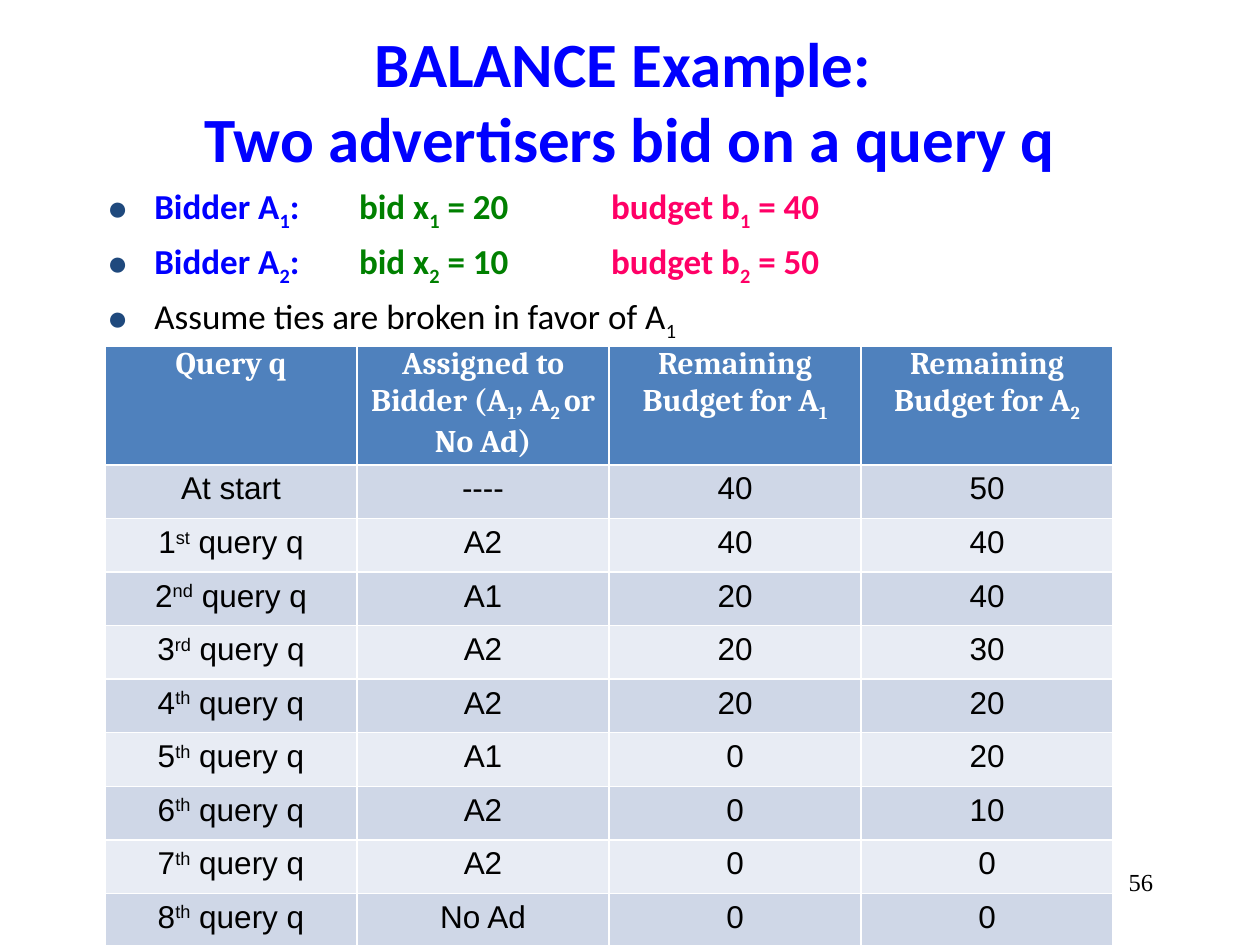
from dataclasses import dataclass

from lxml import etree
from pptx import Presentation
from pptx import util as u
from pptx.dml.color import RGBColor
from pptx.enum import text as t
from pptx.oxml import ns

BLUE = RGBColor(0x00, 0x00, 0xFF)
GREEN = RGBColor(0x00, 0x80, 0x00)
PINK = RGBColor(0xFF, 0x00, 0x66)
NAVY = RGBColor(0x1F, 0x49, 0x7D)
BLACK = RGBColor(0x00, 0x00, 0x00)
WHITE = RGBColor(0xFF, 0xFF, 0xFF)
HEADER_FILL = RGBColor(0x4F, 0x81, 0xBD)
BAND_FILLS = (RGBColor(0xCF, 0xD7, 0xE7), RGBColor(0xE8, 0xEC, 0xF4))
SUBSCRIPT = -25000
SUPERSCRIPT = 30000


@dataclass(frozen=True)
class Style:
    font: str
    size: float
    color: RGBColor
    bold: bool = False


@dataclass(frozen=True)
class Piece:
    text: str
    style: Style
    baseline: int = 0


@dataclass(frozen=True)
class Bidder:
    number: str
    bid: str
    budget: str


@dataclass(frozen=True)
class Step:
    ordinal: str
    suffix: str
    assigned: str
    first_budget: str
    second_budget: str


TITLE = Style("Calibri", 36, BLUE, True)
BIDDER = Style("Calibri", 20, BLUE, True)
BID = Style("Calibri", 20, GREEN, True)
BUDGET = Style("Calibri", 20, PINK, True)
PLAIN = Style("Calibri", 20, BLACK)
HEADER = Style("Cambria", 18, WHITE, True)
CELL = Style("Arial", 18, BLACK)
NUMBER = Style("Times New Roman", 14, BLACK)

BIDDERS = [Bidder("1", "20", "40"), Bidder("2", "10", "50")]
STEPS = [
    Step("1", "st", "A2", "40", "40"),
    Step("2", "nd", "A1", "20", "40"),
    Step("3", "rd", "A2", "20", "30"),
    Step("4", "th", "A2", "20", "20"),
    Step("5", "th", "A1", "0", "20"),
    Step("6", "th", "A2", "0", "10"),
    Step("7", "th", "A2", "0", "0"),
    Step("8", "th", "No Ad", "0", "0"),
]


def add_pieces(paragraph, pieces: list[Piece]) -> None:
    for piece in pieces:
        run = paragraph.add_run()
        run.text = piece.text
        run.font.name = piece.style.font
        run.font.size = u.Pt(piece.style.size)
        run.font.bold = piece.style.bold
        run.font.color.rgb = piece.style.color
        if piece.baseline:
            run.font._element.set("baseline", str(piece.baseline))


def place(shape, left: float, top: float, width: float, height: float) -> None:
    shape.left, shape.top = u.Pt(left), u.Pt(top)
    shape.width, shape.height = u.Pt(width), u.Pt(height)


def format_bullet(paragraph, tabs: list[float]) -> None:
    properties = paragraph._p.get_or_add_pPr()
    properties.set("marL", str(u.Pt(27)))
    properties.set("indent", str(-u.Pt(27)))
    color = etree.SubElement(properties, ns.qn("a:buClr"))
    etree.SubElement(color, ns.qn("a:srgbClr"), val=str(NAVY))
    etree.SubElement(properties, ns.qn("a:buChar"), char="●")
    if tabs:
        tab_list = etree.SubElement(properties, ns.qn("a:tabLst"))
        for position in tabs:
            etree.SubElement(tab_list, ns.qn("a:tab"), pos=str(u.Pt(position)), algn="l")


def bidder_line(bidder: Bidder) -> list[Piece]:
    index = bidder.number
    return [
        Piece("Bidder A", BIDDER), Piece(index, BIDDER, SUBSCRIPT), Piece(": ", BIDDER),
        Piece("\tbid x", BID), Piece(index, BID, SUBSCRIPT), Piece(f" = {bidder.bid}\t", BID),
        Piece("budget b", BUDGET), Piece(index, BUDGET, SUBSCRIPT),
        Piece(f" = {bidder.budget}", BUDGET),
    ]


def add_title(slide) -> None:
    title = slide.shapes.title
    place(title, 54, 12, 612, 90)
    frame = title.text_frame
    frame.auto_size = t.MSO_AUTO_SIZE.NONE
    frame.vertical_anchor = t.MSO_ANCHOR.MIDDLE
    paragraph = frame.paragraphs[0]
    paragraph.alignment = t.PP_ALIGN.CENTER
    add_pieces(paragraph, [Piece("BALANCE Example: ", TITLE)])
    paragraph.add_line_break()
    add_pieces(paragraph, [Piece("Two advertisers bid on a query q", TITLE)])


def add_bidders(slide) -> None:
    body = slide.placeholders[1]
    place(body, 54, 102, 612, 96)
    frame = body.text_frame
    frame.auto_size = t.MSO_AUTO_SIZE.NONE
    lines = [bidder_line(bidder) for bidder in BIDDERS]
    lines.append([Piece("Assume ties are broken in favor of A", PLAIN),
                  Piece("1", PLAIN, SUBSCRIPT)])
    for number, line in enumerate(lines):
        paragraph = frame.add_paragraph() if number else frame.paragraphs[0]
        format_bullet(paragraph, [144, 288] if number < len(BIDDERS) else [])
        paragraph.space_before = u.Pt(4 if number else 0)
        add_pieces(paragraph, line)


def add_slide_number(slide) -> None:
    box = slide.shapes.add_textbox(u.Pt(516), u.Pt(492), u.Pt(150), u.Pt(36))
    box.text_frame.word_wrap = True
    paragraph = box.text_frame.paragraphs[0]
    paragraph.alignment = t.PP_ALIGN.RIGHT
    add_pieces(paragraph, [Piece("56", NUMBER)])


def table_rows() -> list[list[list[Piece]]]:
    header = [
        [Piece("Query q", HEADER)],
        [Piece("Assigned to Bidder (A", HEADER), Piece("1", HEADER, SUBSCRIPT),
         Piece(", A", HEADER), Piece("2 ", HEADER, SUBSCRIPT), Piece("or No Ad)", HEADER)],
    ]
    header += [[Piece("Remaining Budget for A", HEADER), Piece(bidder.number, HEADER, SUBSCRIPT)]
               for bidder in BIDDERS]
    start = [[Piece(value, CELL)] for value in ("At start", "----", "40", "50")]
    rows = [header, start]
    for step in STEPS:
        query = [Piece(step.ordinal, CELL), Piece(step.suffix, CELL, SUPERSCRIPT),
                 Piece(" query q", CELL)]
        values = (step.assigned, step.first_budget, step.second_budget)
        rows.append([query] + [[Piece(value, CELL)] for value in values])
    return rows


def add_budget_table(slide) -> None:
    rows = table_rows()
    row_height = u.Pt(30.6)
    table = slide.shapes.add_table(len(rows), 4, u.Pt(60), u.Pt(198), u.Pt(576),
                                   row_height * len(rows)).table
    for row_number, row in enumerate(rows):
        table.rows[row_number].height = row_height
        for column_number, pieces in enumerate(row):
            cell = table.cell(row_number, column_number)
            cell.fill.solid()
            if row_number:
                cell.fill.fore_color.rgb = BAND_FILLS[(row_number - 1) % 2]
            else:
                cell.fill.fore_color.rgb = HEADER_FILL
                cell.margin_left = cell.margin_right = u.Pt(5)
                cell.margin_top = cell.margin_bottom = u.Pt(0)
            paragraph = cell.text_frame.paragraphs[0]
            paragraph.alignment = t.PP_ALIGN.CENTER
            add_pieces(paragraph, pieces)


def main() -> None:
    presentation = Presentation()
    presentation.slide_width, presentation.slide_height = u.Pt(720), u.Pt(540)
    slide = presentation.slides.add_slide(presentation.slide_layouts[1])
    add_title(slide)
    add_bidders(slide)
    add_slide_number(slide)
    add_budget_table(slide)
    presentation.save("out.pptx")


if __name__ == "__main__":
    main()
